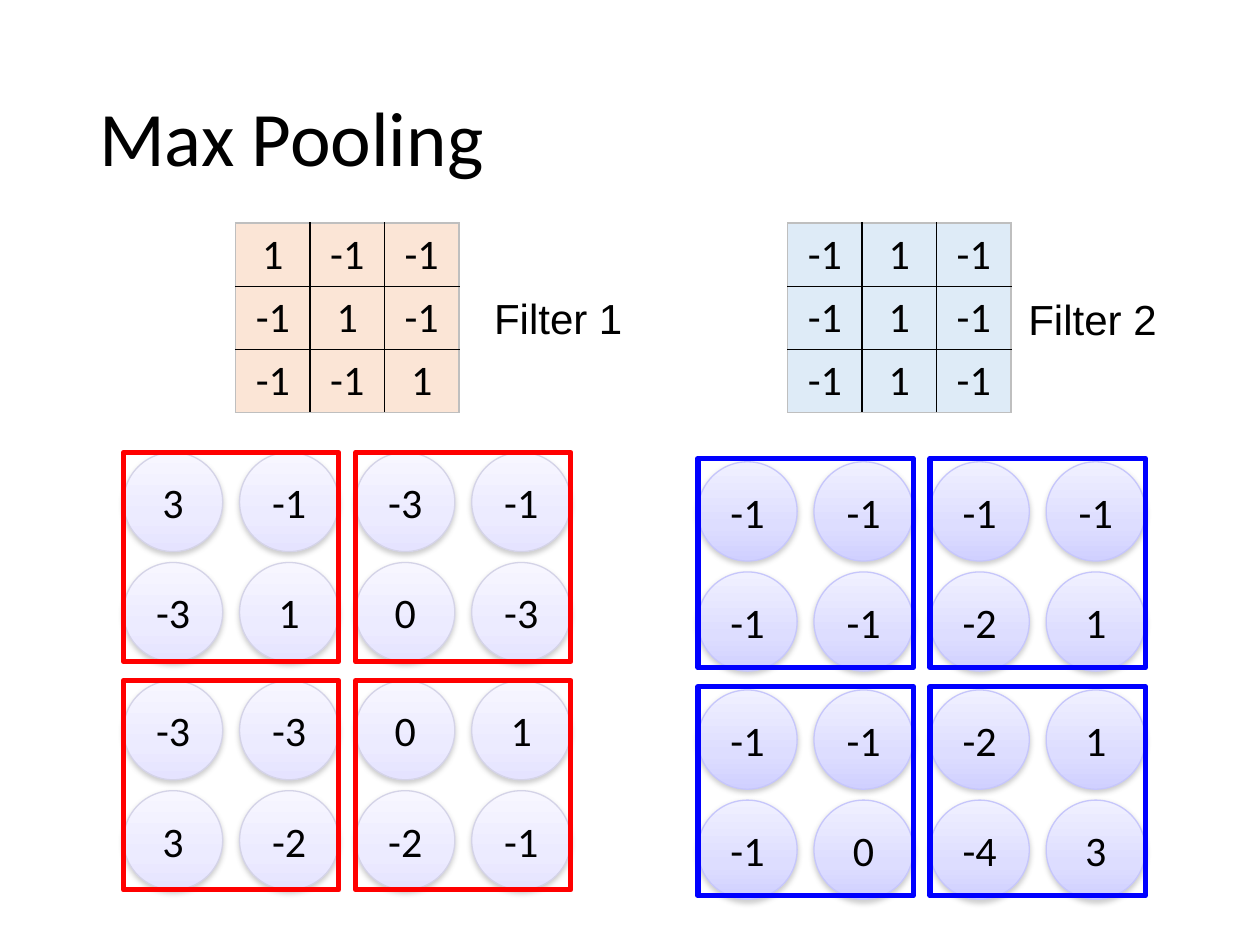
from itertools import product

from lxml import etree
from pptx import Presentation
from pptx.dml.color import RGBColor as Rgb
from pptx.enum.shapes import MSO_SHAPE as Shape
from pptx.enum.text import MSO_ANCHOR as Anchor, PP_ALIGN as Align
from pptx.oxml import parse_xml
from pptx.oxml.ns import nsdecls, qn
from pptx.util import Cm, Pt

COLORS = {
    "text": "000000", "grid": "000000", "edge": "BFBFBF", "shade": "808080",
    "peach": "FBE5D6", "sky": "DEEBF7", "red": "FF0000", "blue": "0000FF",
    "pale_line": "D4D3E7", "deep_line": "C6C6FB",
}
FADES = {
    "pale": ("F7F6FF", "ECEBFF", "E5E3FF"),
    "deep": ("F0F0FF", "DDDDFF", "D0D0FF"),
}
STOPS = (0, 65, 100)

# Filter weights and the feature maps they give
DIAG = [[1, -1, -1], [-1, 1, -1], [-1, -1, 1]]
BAR = [[-1, 1, -1]] * 3
MAP1 = [[3, -1, -3, -1], [-3, 1, 0, -3], [-3, -3, 0, 1], [3, -2, -2, -1]]
MAP2 = [[-1, -1, -1, -1], [-1, -1, -2, 1], [-1, -1, -2, 1], [-1, 0, -4, 3]]

# Feature map measures in cm
DOT = 2
STEP_X, STEP_Y = 2.34, 2.22
POOL_X, POOL_Y = 4.68, 4.6
POOL_W, POOL_H = 4.34, 4.22


def color(name):
    return Rgb.from_string(COLORS[name])


def write(frame, text, size=24, font="Calibri", align=Align.CENTER):
    frame.text = str(text)
    par = frame.paragraphs[0]
    par.alignment = align
    face = par.runs[0].font
    face.size, face.name = Pt(size), font
    face.color.rgb = color("text")
    return par


def add_text(slide, box, text, **style):
    frame = slide.shapes.add_textbox(*map(Cm, box)).text_frame
    frame.word_wrap = True
    return frame, write(frame, text, **style)


def add_title(slide, box, text):
    frame, par = add_text(slide, box, text, size=44, align=Align.LEFT)
    frame.vertical_anchor = Anchor.MIDDLE
    par.line_spacing = 0.9


def set_edge(cell, side, name):
    props = cell._tc.get_or_add_tcPr()
    line = etree.SubElement(props, qn("a:" + side), w=str(Pt(1)))
    fill = etree.SubElement(line, qn("a:solidFill"))
    etree.SubElement(fill, qn("a:srgbClr"), val=COLORS[name])


def add_filter(slide, box, rows, fill):
    count = len(rows)
    table = slide.shapes.add_table(count, count, *map(Cm, box)).table
    table.first_row = table.horz_banding = False
    last = count - 1
    for r, c in product(range(count), repeat=2):
        cell = table.cell(r, c)
        write(cell.text_frame, rows[r][c])
        # Borders come before the fill: grey outside, black inside
        sides = {"lnL": c == 0, "lnR": c == last,
                 "lnT": r == 0, "lnB": r == last}
        for side, outer in sides.items():
            set_edge(cell, side, "edge" if outer else "grid")
        cell.fill.solid()
        cell.fill.fore_color.rgb = color(fill)


def add_dot(slide, left, top, value, tone):
    dot = slide.shapes.add_shape(Shape.OVAL, Cm(left), Cm(top), Cm(DOT), Cm(DOT))
    dot.line.color.rgb = color(tone + "_line")
    dot.line.width = Pt(0.75)
    frame = dot.text_frame
    frame.margin_left = frame.margin_right = 0
    frame.vertical_anchor = Anchor.MIDDLE
    write(frame, value)
    # Three-stop fade from top to bottom, and a soft shadow
    stops = "".join(
        f'<a:gs pos="{pos * 1000}"><a:srgbClr val="{hue}"/></a:gs>'
        for pos, hue in zip(STOPS, FADES[tone]))
    fade = parse_xml(
        f'<a:gradFill {nsdecls("a")} rotWithShape="1"><a:gsLst>{stops}</a:gsLst>'
        '<a:lin ang="5400000" scaled="0"/></a:gradFill>')
    shade = parse_xml(
        f'<a:effectLst {nsdecls("a")}><a:outerShdw blurRad="{Pt(3.1)}" '
        f'dist="{Pt(1.6)}" dir="5400000" rotWithShape="0">'
        f'<a:srgbClr val="{COLORS["shade"]}"><a:alpha val="38000"/></a:srgbClr>'
        '</a:outerShdw></a:effectLst>')
    props = dot._element.spPr
    props.find(qn("a:prstGeom")).addnext(fade)
    props.find(qn("a:ln")).addnext(shade)


def add_pool(slide, left, top, line):
    pool = slide.shapes.add_shape(
        Shape.RECTANGLE, Cm(left), Cm(top), Cm(POOL_W), Cm(POOL_H))
    pool.shadow.inherit = False
    pool.fill.background()
    pool.line.color.rgb = color(line)
    pool.line.width = Pt(3)


def add_map(slide, left, top, rows, tone, line, lift=0):
    """Dots in pairs of rows; each 2 x 2 block gets a pooling frame."""
    for r, c in product(range(4), repeat=2):
        y = top + r // 2 * POOL_Y + r % 2 * STEP_Y
        add_dot(slide, left + c * STEP_X, y, rows[r][c], tone)
    for r, c in product(range(2), repeat=2):
        add_pool(slide, left + c * POOL_X, top - lift + r * POOL_Y, line)


def main():
    deck = Presentation()
    deck.slide_width, deck.slide_height = Cm(25.4), Cm(19.05)
    slide = deck.slides.add_slide(deck.slide_layouts[6])

    add_title(slide, (1.75, 1.02, 21.9, 3.68), "Max Pooling")

    # First filter
    add_filter(slide, (4.75, 4.5, 4.5, 3.81), DIAG, "peach")
    add_text(slide, (9.25, 5.77, 4.01, 1.3), "Filter 1", font="Arial")
    add_map(slide, 2.49, 9.12, MAP1, "pale", "red")

    # Second filter
    add_filter(slide, (15.88, 4.5, 4.5, 3.81), BAR, "sky")
    add_text(slide, (20.02, 5.8, 4.01, 1.3), "Filter 2", font="Arial")
    add_map(slide, 14.07, 9.31, MAP2, "deep", "blue", lift=0.07)

    deck.save("out.pptx")


if __name__ == "__main__":
    main()
